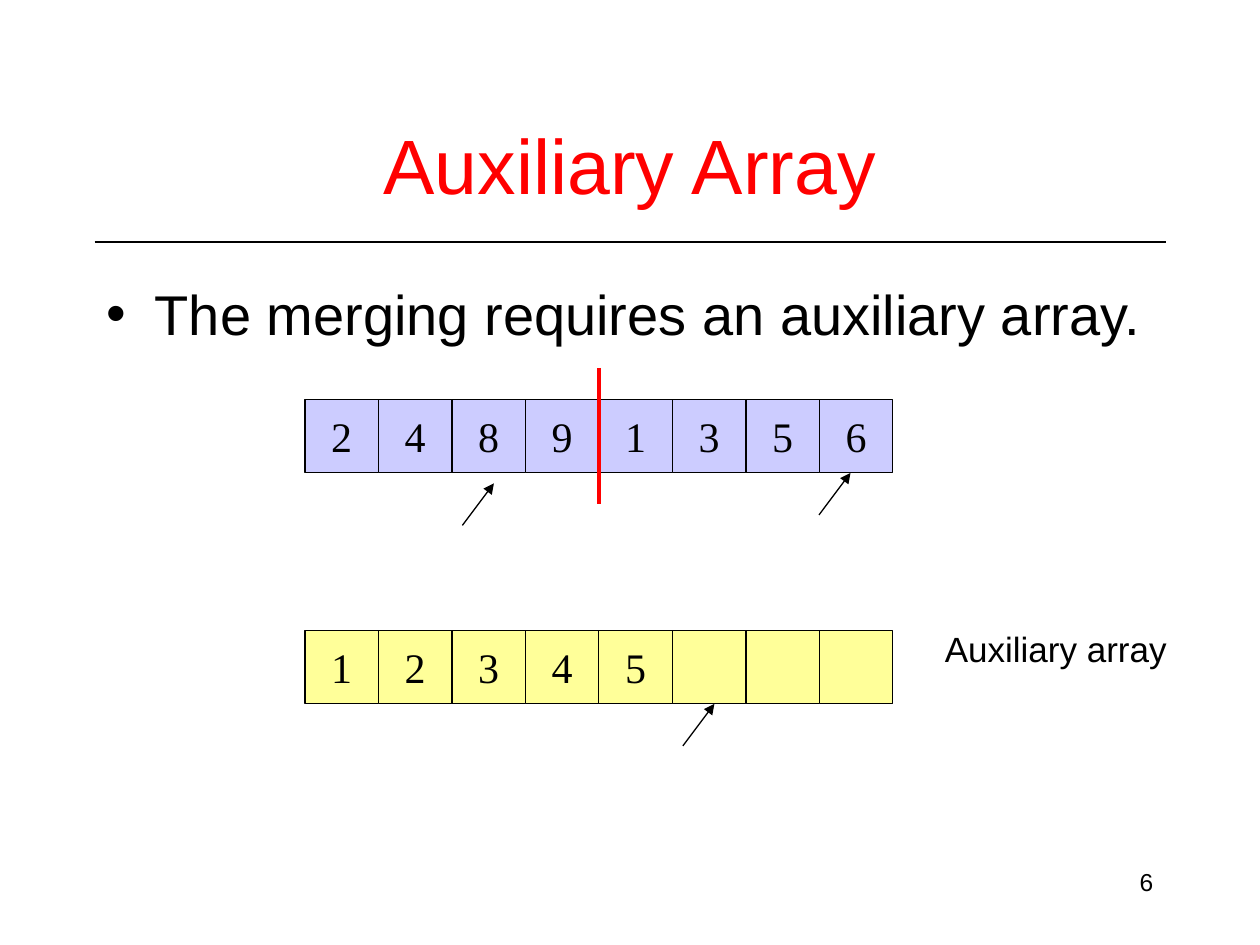
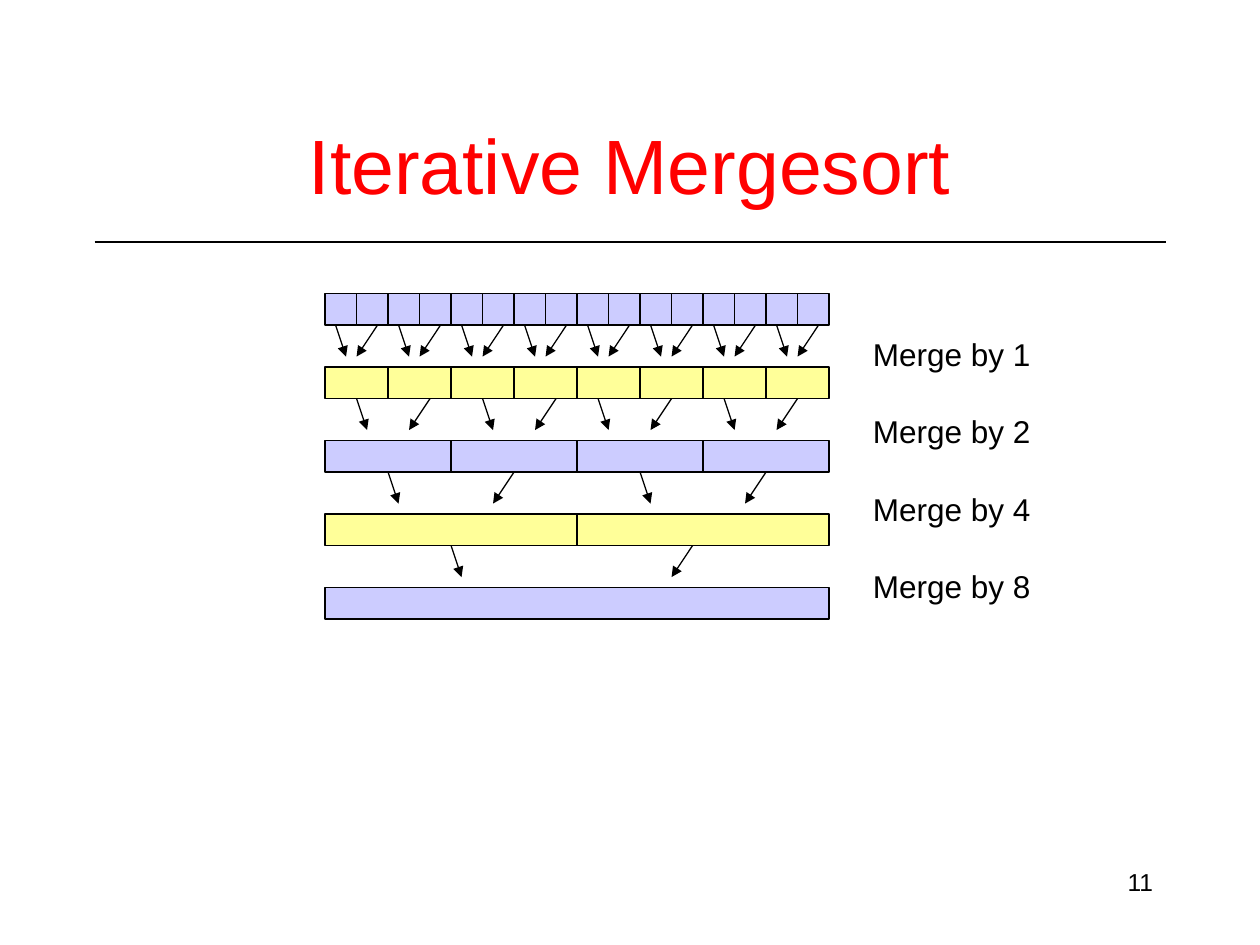
from lxml.etree import SubElement
from pptx import Presentation
from pptx.dml.color import RGBColor
from pptx.enum.shapes import MSO_CONNECTOR as Connector, MSO_SHAPE as Preset
from pptx.enum.text import MSO_ANCHOR as Anchor, PP_ALIGN as Align
from pptx.oxml.ns import qn
from pptx.util import Inches, Pt

COLORS = {
    "ink": "000000",
    "accent": "FF0000",
    "source": "CCCCFF",
    "merged": "FFFF99",
}
BOTTOM = 2
TWELFTH = 1 / 12


def color(name):
    return RGBColor.from_string(COLORS[name])


def write(frame, *lines, size, font="Arial", ink="ink", align=Align.LEFT,
          anchor=Anchor.TOP, wrap=True, before=0, bullet=False):
    frame.word_wrap = wrap
    frame.vertical_anchor = anchor
    for index, line in enumerate(lines):
        paragraph = frame.add_paragraph() if index else frame.paragraphs[0]
        paragraph.alignment = align
        if index or bullet:
            paragraph.space_before = Pt(before)
        if bullet:
            properties = paragraph._p.get_or_add_pPr()
            properties.set("marL", str(Inches(0.38)))
            properties.set("indent", str(Inches(-0.38)))
            SubElement(properties, qn("a:buFont"), typeface="Arial")
            SubElement(properties, qn("a:buChar"), char="•")
        run = paragraph.add_run()
        run.text = line
        run.font.name = font
        run.font.size = Pt(size)
        run.font.color.rgb = color(ink)


def add_text(slide, box, *lines, **style):
    frame = slide.shapes.add_textbox(*map(Inches, box)).text_frame
    write(frame, *lines, **style)


def add_line(slide, start, end, ink="ink", width=0.75, arrow=False):
    line = slide.shapes.add_connector(
        Connector.STRAIGHT, *map(Inches, (*start, *end)))
    line.line.color.rgb = color(ink)
    line.line.width = Pt(width)
    if arrow:
        SubElement(line.line._get_or_add_ln(), qn("a:tailEnd"), type="triangle")
    SubElement(line._element.spPr, qn("a:effectLst"))
    return line


def add_pointer(slide, x, y):
    add_line(slide, (x, y), (x + 3 * TWELFTH, y - 4 * TWELFTH), arrow=True)


def add_cell(slide, box, fill, value=""):
    cell = slide.shapes.add_shape(Preset.RECTANGLE, *map(Inches, box))
    cell.shadow.inherit = False
    cell.fill.solid()
    cell.fill.fore_color.rgb = color(fill)
    cell.line.color.rgb = color("ink")
    cell.line.width = Pt(0.75)
    if value:
        write(cell.text_frame, value, size=24, font="Times New Roman",
              align=Align.CENTER, anchor=Anchor.MIDDLE, wrap=False)
    return cell


def add_row(slide, box, fill, values):
    left, top, width, height = box
    step = width / len(values)
    return [add_cell(slide, (left + i * step, top, step, height), fill, value)
            for i, value in enumerate(values)]


def add_frame(deck, title, number):
    slide = deck.slides.add_slide(deck.slide_layouts[6])
    add_line(slide, (0.75, 1.92), (9.25, 1.92))
    add_text(slide, (7.17, 6.83, 2.08, 0.5), number, size=14, align=Align.RIGHT)
    add_text(slide, (0.75, 0.67, 8.5, 1.25), title, size=44, ink="accent",
             align=Align.CENTER, anchor=Anchor.MIDDLE)
    return slide


def add_arrays(slide, left, top):
    side = 7 * TWELFTH
    width = 8 * side
    auxiliary_top = top + 22 * TWELFTH
    add_row(slide, (left, top, width, side), "source", "24891356")
    middle = left + width / 2
    add_line(slide, (middle, top - 0.25), (middle, top + 10 * TWELFTH),
             ink="accent", width=2.25)
    add_pointer(slide, left + 1.25, top + 1)
    add_pointer(slide, left + 4.08, top + 11 * TWELFTH)
    add_row(slide, (left, auxiliary_top, width, side), "merged",
            [*"12345", "", "", ""])
    add_pointer(slide, left + 3, auxiliary_top + 11 * TWELFTH)
    add_text(slide, (left + 4.98, auxiliary_top - 0.07, 1.96, 0.44),
             "Auxiliary array", size=20, wrap=False)


def add_merge_arrows(slide, left, top, cells, starts):
    span = 48 // len(cells)
    for index, start in enumerate(starts):
        x = left + start * TWELFTH
        drift = -2 if index % 2 else 1
        arrow = add_line(slide, (x, top),
                         (x + drift * TWELFTH, top + 0.25), arrow=True)
        if 2 * start % (2 * span) == span:
            arrow.begin_connect(cells[start // span], BOTTOM)


def add_merge_levels(slide, left, top):
    width, height, pitch = 4, 0.25, 7 * TWELFTH
    arrow_starts = [
        [6 * pair + offset for pair in range(8) for offset in (1, 5)],
        [3, 10, 15, 22, 26, 33, 38, 45],
        [6, 18, 30, 42],
        [12, 35],
        [],
    ]
    for level, starts in enumerate(arrow_starts):
        level_top = top + level * pitch
        fill = "merged" if level % 2 else "source"
        cells = add_row(slide, (left, level_top, width, height), fill,
                        [""] * (16 // 2 ** level))
        add_merge_arrows(slide, left, level_top + height, cells, starts)
    labels = [f"Merge by {2 ** level}" for level in range(4)]
    add_text(slide, (left + 4.25, top + 0.28, 1.45, 2.2), *labels,
             size=18, wrap=False, before=22.6)


def main():
    deck = Presentation()
    deck.slide_width, deck.slide_height = Inches(10), Inches(7.5)

    auxiliary = add_frame(deck, "Auxiliary Array", "6")
    add_text(auxiliary, (0.75, 2.17, 8.5, 4.5),
             "The merging requires an auxiliary array.",
             size=32, before=8, bullet=True)
    add_arrays(auxiliary, 2.42, 3.17)

    iterative = add_frame(deck, "Iterative Mergesort", "11")
    add_merge_levels(iterative, 2.58, 2.33)

    deck.save("out.pptx")


if __name__ == "__main__":
    main()
